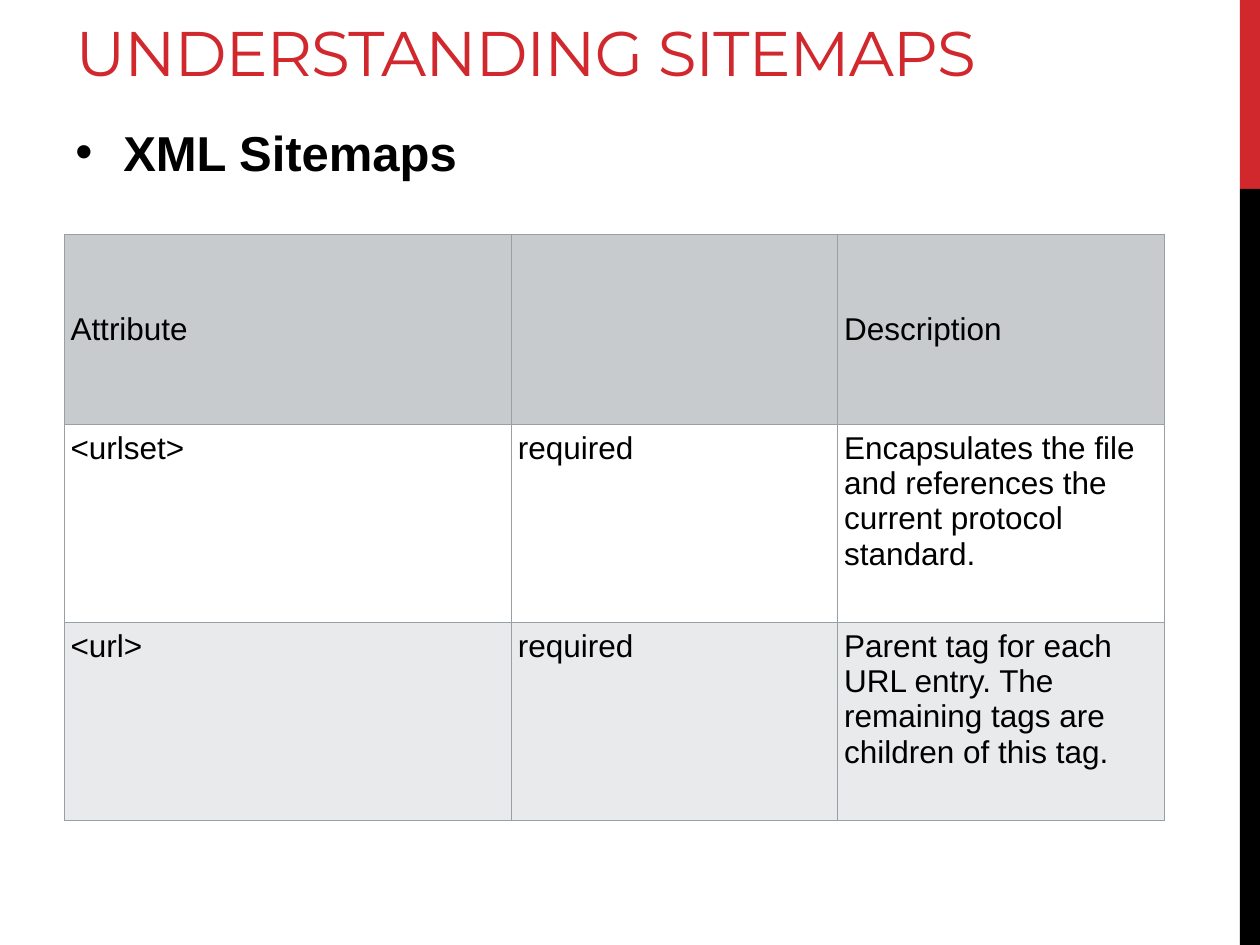
"""Build the XML sitemaps slide."""
from lxml import etree
from pptx import Presentation
from pptx.dml.color import RGBColor
from pptx.enum.shapes import MSO_SHAPE
from pptx.enum.text import MSO_ANCHOR, PP_ALIGN
from pptx.oxml.ns import qn
from pptx.util import Inches, Pt

RECT = MSO_SHAPE.RECTANGLE
TOP, MIDDLE, BOTTOM = MSO_ANCHOR.TOP, MSO_ANCHOR.MIDDLE, MSO_ANCHOR.BOTTOM
LEFT = PP_ALIGN.LEFT

COLORS = {"red": "D1282E", "black": "000000", "white": "FFFFFF",
          "header": "C7CBCE", "band": "E9EAEB", "border": "98A0A6"}
TITLE = "UNDERSTANDING SITEMAPS"
BULLET = "XML Sitemaps"
ROWS = [
    ("Attribute", "", "Description"),
    ("<urlset>", "required",
     "Encapsulates the file and references the current protocol standard."),
    ("<url>", "required",
     "Parent tag for each URL entry. The remaining tags are children of this tag."),
]
ROW_FILLS = ["header", "white", "band"]
ROW_HEIGHTS = [1.51, 1.57, 1.57]
COL_WIDTHS = [3.55, 2.59, 2.59]
SIDE_BARS = [("red", 0, 1.5), ("black", 1.5, 6)]
HEADER_FORMAT = {"vertical_anchor": MIDDLE, "margin_left": Inches(0.05),
                 "margin_top": Inches(0.05), "margin_right": Inches(0.1),
                 "margin_bottom": Inches(0.05)}
BODY_FORMAT = {"vertical_anchor": TOP, "margin_left": Inches(0.05),
               "margin_top": Inches(0.05), "margin_right": Inches(0.05),
               "margin_bottom": Inches(0.02)}


def rgb(name):
    return RGBColor.from_string(COLORS[name])


def apply(obj, values):
    for key, value in values.items():
        setattr(obj, key, value)


def write(p, text, size, font="Arial", color="black", bold=False):
    p.alignment = LEFT
    r = p.add_run()
    r.text = text
    apply(r.font, {"size": Pt(size), "name": font, "bold": bold})
    r.font.color.rgb = rgb(color)
    return r


def add_side_bars(s):
    for color, top, height in SIDE_BARS:
        sp = s.shapes.add_shape(RECT, Inches(9.84), Inches(top),
                                Inches(0.16), Inches(height))
        sp.shadow.inherit = False
        sp.fill.solid()
        sp.fill.fore_color.rgb = rgb(color)
        sp.line.fill.background()


def add_title(s):
    sp = s.shapes.title
    apply(sp, {"left": Inches(0.5), "top": Inches(-0.74),
               "width": Inches(8.52), "height": Inches(1.5)})
    tf = sp.text_frame
    apply(tf, {"vertical_anchor": BOTTOM, "word_wrap": True})
    r = write(tf.paragraphs[0], TITLE, 36, "Montserrat", "red")
    r.font._element.set("spc", "-60")


def add_bullet(s):
    sp = s.shapes.add_textbox(Inches(0.5), Inches(0.92), Inches(9.15), Inches(5.67))
    tf = sp.text_frame
    tf.word_wrap = True
    p = tf.paragraphs[0]
    write(p, BULLET, 28, bold=True)
    apply(p, {"space_before": Pt(5.6), "space_after": Pt(6)})
    pPr = p._p.get_or_add_pPr()
    pPr.set("marL", str(Inches(0.38)))
    pPr.set("indent", str(Inches(-0.38)))
    etree.SubElement(pPr, qn("a:buFont")).set("typeface", "Arial")
    etree.SubElement(pPr, qn("a:buChar")).set("char", "•")


def add_borders(cell):
    tcPr = cell._tc.get_or_add_tcPr()
    for i, side in enumerate(("lnL", "lnR", "lnT", "lnB")):
        ln = etree.Element(qn(f"a:{side}"), w=str(Pt(0.75)))
        fill = etree.SubElement(ln, qn("a:solidFill"))
        etree.SubElement(fill, qn("a:srgbClr")).set("val", COLORS["border"])
        tcPr.insert(i, ln)


def add_tag_table(s):
    table = s.shapes.add_table(
        len(ROWS), len(COL_WIDTHS), Inches(0.51), Inches(1.86),
        Inches(sum(COL_WIDTHS)), Inches(sum(ROW_HEIGHTS))).table
    for col, width in zip(table.columns, COL_WIDTHS):
        col.width = Inches(width)
    for i, (row, height) in enumerate(zip(table.rows, ROW_HEIGHTS)):
        row.height = Inches(height)
        for cell, text in zip(row.cells, ROWS[i]):
            apply(cell, BODY_FORMAT if i else HEADER_FORMAT)
            cell.fill.solid()
            cell.fill.fore_color.rgb = rgb(ROW_FILLS[i])
            add_borders(cell)
            if text:
                write(cell.text_frame.paragraphs[0], text, 18)


def main():
    prs = Presentation()
    apply(prs, {"slide_width": Inches(10), "slide_height": Inches(7.5)})
    s = prs.slides.add_slide(prs.slide_layouts[5])
    add_side_bars(s)
    add_title(s)
    add_bullet(s)
    add_tag_table(s)
    prs.save("out.pptx")


if __name__ == "__main__":
    main()
